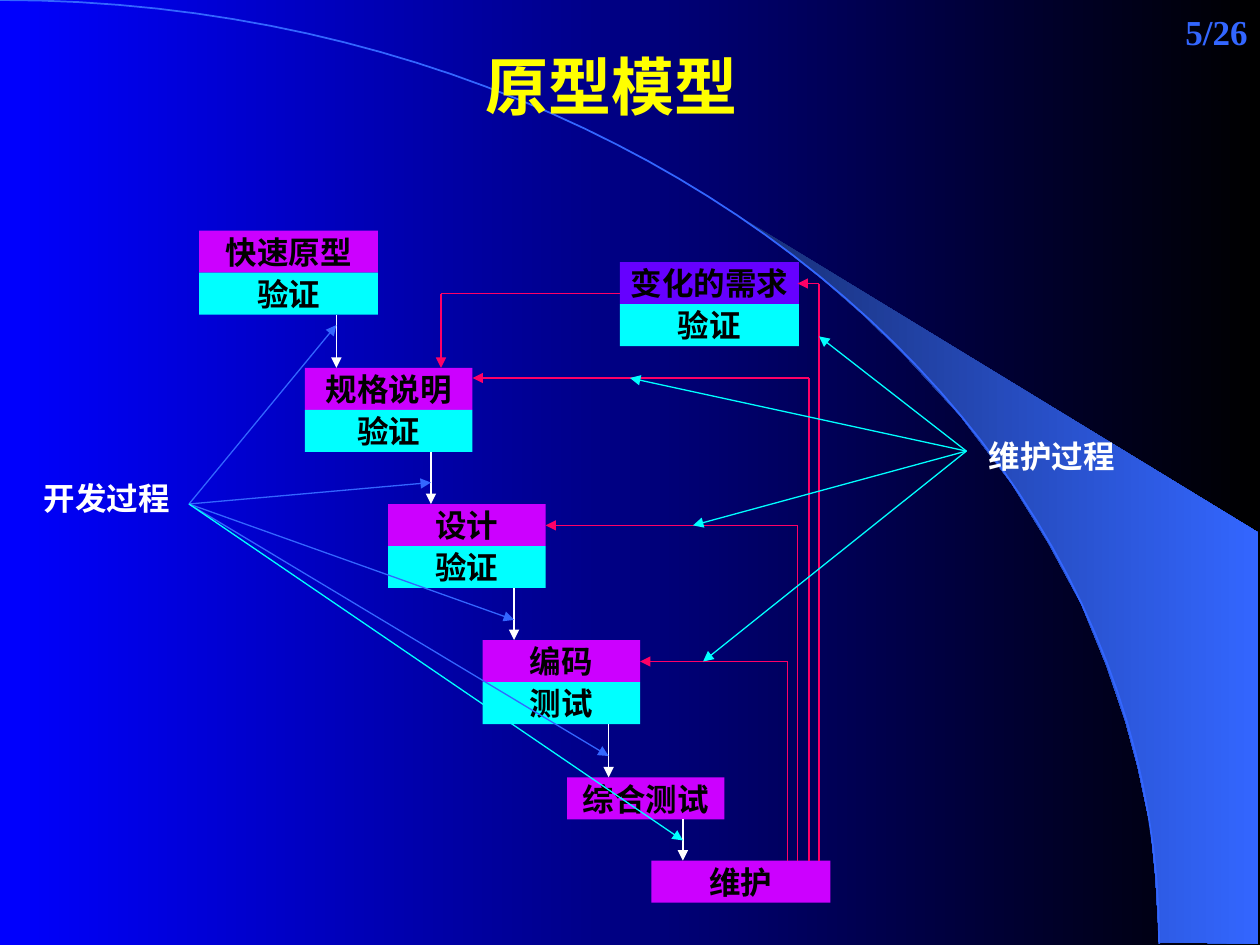
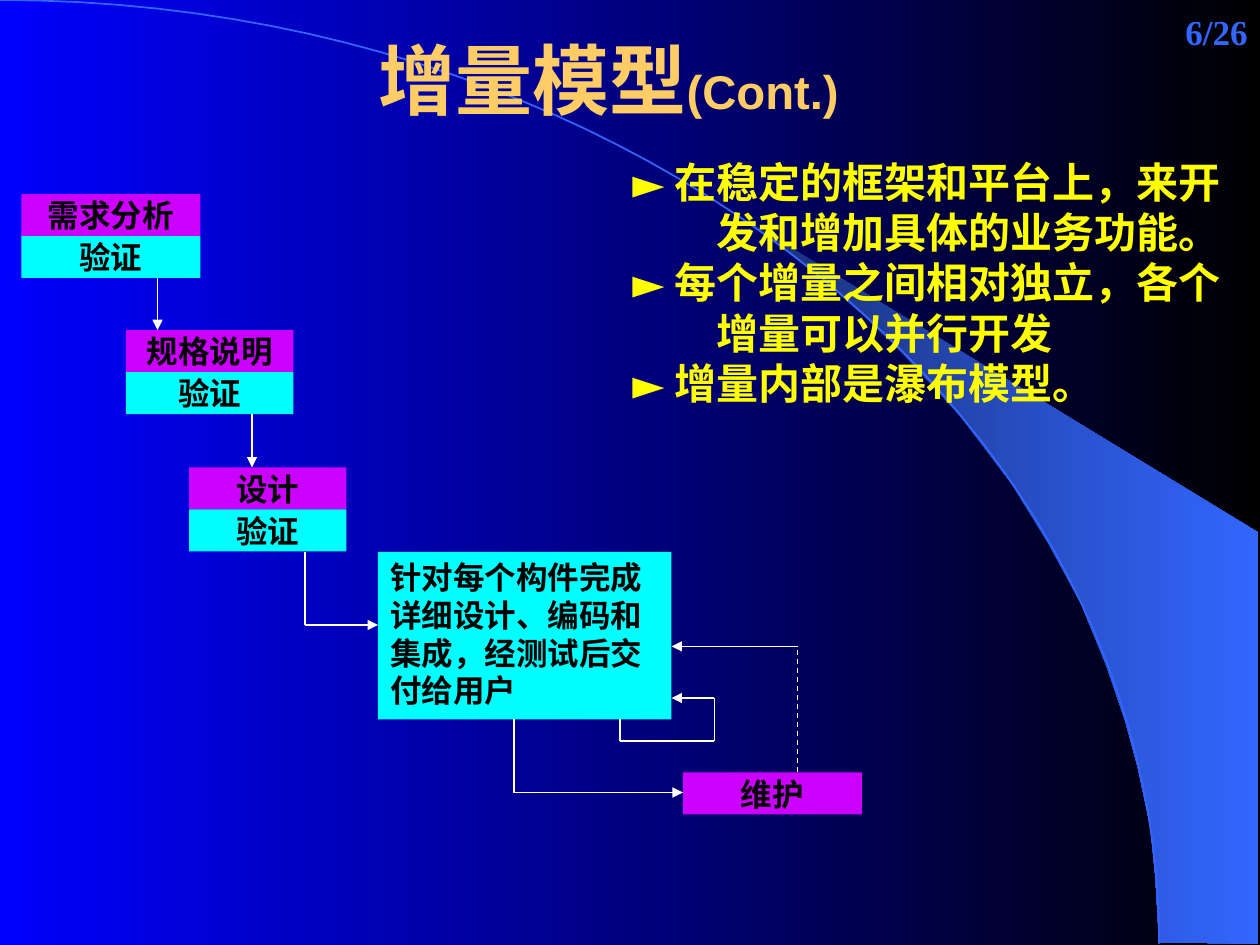
from dataclasses import dataclass

from lxml import etree
from pptx import Presentation
from pptx.dml.color import RGBColor
from pptx.enum.dml import MSO_LINE
from pptx.enum.shapes import MSO_CONNECTOR, MSO_SHAPE
from pptx.enum.text import MSO_ANCHOR, PP_ALIGN
from pptx.oxml.ns import qn
from pptx.util import Inches, Pt

LEFT, CENTER, RIGHT = PP_ALIGN.LEFT, PP_ALIGN.CENTER, PP_ALIGN.RIGHT
TOP, MIDDLE = MSO_ANCHOR.TOP, MSO_ANCHOR.MIDDLE
STRAIGHT, RECT, DASH = MSO_CONNECTOR.STRAIGHT, MSO_SHAPE.RECTANGLE, MSO_LINE.DASH

BLUE, BLACK, WHITE = "0000FF", "000000", "FFFFFF"
NAVY, SKY, CYAN = "182F76", "3366FF", "00FFFF"
MAGENTA, VIOLET, RED = "CC00FF", "6600FF", "FF0066"
YELLOW, GOLD = "FFFF00", "FFCC66"
SANS, SERIF = "Arial", "Times New Roman"
ROW = 1 / 3
PAGES = 26

WEDGE = [
    (9.2, 7.48), (9.99, 7.49), (9.99, 4.23), (5.89, 1.73), (6.24, 1.99), (6.53, 2.22),
    (6.85, 2.5), (7.16, 2.8), (7.62, 3.3), (8.03, 3.84), (8.32, 4.31), (8.58, 4.79),
    (8.78, 5.28), (8.93, 5.72), (9.03, 6.09), (9.13, 6.56), (9.17, 6.96),
]
ARC = [(0, 0), (5.08, 0), (9.2, 3.35), (9.2, 7.49)]
ARC_STEPS = 48

Point = tuple[float, float]


@dataclass
class Run:
    text: str
    size: float = 18
    color: str = BLACK
    font: str = SANS


@dataclass
class Stage:
    left: float
    top: float
    width: float
    name: str
    check: str = ""
    fill: str = MAGENTA
    drop: float = 0

    @property
    def bottom(self) -> float:
        return self.top + ROW * (2 if self.check else 1)


@dataclass
class Route:
    points: list[Point]
    color: str = WHITE
    arrow: bool = True
    dashed: bool = False


def rgb(color: str) -> RGBColor:
    return RGBColor.from_string(color)


def set_gradient(fill, start: str, end: str) -> None:
    fill.gradient()
    fill.gradient_angle = 0
    for stop, color, position in zip(fill.gradient_stops, (start, end), (0, 1)):
        stop.color.rgb = rgb(color)
        stop.position = position


def write(p, runs: list[Run], align=LEFT) -> None:
    p.alignment = align
    for run in runs:
        r = p.add_run()
        r.text = run.text
        r.font.size = Pt(run.size)
        r.font.name = run.font
        r.font.bold = True
        r.font.color.rgb = rgb(run.color)


def add_text(s, left: float, top: float, width: float, height: float,
             paragraphs: list[list[Run]], align=LEFT, anchor=TOP, hanging: float = 0) -> None:
    tf = s.shapes.add_textbox(Inches(left), Inches(top), Inches(width), Inches(height)).text_frame
    tf.word_wrap = True
    tf.vertical_anchor = anchor
    for i, runs in enumerate(paragraphs):
        p = tf.add_paragraph() if i else tf.paragraphs[0]
        write(p, runs, align)
        if hanging:
            pPr = p._p.get_or_add_pPr()
            pPr.set("marL", str(Inches(hanging)))
            pPr.set("indent", str(-Inches(hanging)))


def add_box(s, left: float, top: float, width: float, height: float, text: str, fill: str,
            align=CENTER, anchor=MIDDLE, wrap: bool = False) -> None:
    sp = s.shapes.add_shape(RECT, Inches(left), Inches(top), Inches(width), Inches(height))
    sp.shadow.inherit = False
    sp.fill.solid()
    sp.fill.fore_color.rgb = rgb(fill)
    sp.line.fill.background()
    tf = sp.text_frame
    tf.word_wrap = wrap
    tf.vertical_anchor = anchor
    write(tf.paragraphs[0], [Run(text)], align)


def add_outline(s, points: list[Point], close: bool):
    (x, y), *rest = [(Inches(px), Inches(py)) for px, py in points]
    builder = s.shapes.build_freeform(x, y, scale=1.0)
    builder.add_line_segments(rest, close=close)
    sp = builder.convert_to_shape()
    sp.shadow.inherit = False
    return sp


def add_line(s, start: Point, end: Point, color: str, arrow: bool, dashed: bool) -> None:
    cxn = s.shapes.add_connector(STRAIGHT, *[Inches(v) for v in (*start, *end)])
    cxn.line.color.rgb = rgb(color)
    cxn.line.width = Pt(0.75)
    if dashed:
        cxn.line.dash_style = DASH
    spPr = cxn.element.spPr
    if arrow:
        etree.SubElement(spPr.find(qn("a:ln")), qn("a:tailEnd"), type="triangle")
    etree.SubElement(spPr, qn("a:effectLst"))


def add_route(s, route: Route) -> None:
    last = len(route.points) - 2
    for i, (start, end) in enumerate(zip(route.points, route.points[1:])):
        add_line(s, start, end, route.color, route.arrow and i == last, route.dashed)


def add_stages(s, stages: list[Stage]) -> None:
    for stage in stages:
        add_box(s, stage.left, stage.top, stage.width, ROW, stage.name, stage.fill)
        if stage.check:
            add_box(s, stage.left, stage.top + ROW, stage.width, ROW, stage.check, CYAN)
    for stage, following in zip(stages, stages[1:]):
        if stage.drop:
            add_route(s, Route([(stage.drop, stage.bottom), (stage.drop, following.top)]))


def bezier(t: float) -> Point:
    weights = ((1 - t) ** 3, 3 * t * (1 - t) ** 2, 3 * t * t * (1 - t), t ** 3)
    return (sum(w * x for w, (x, _) in zip(weights, ARC)),
            sum(w * y for w, (_, y) in zip(weights, ARC)))


def add_slide(prs, number: int):
    s = prs.slides.add_slide(prs.slide_layouts[6])
    set_gradient(s.background.fill, BLUE, BLACK)
    wedge = add_outline(s, WEDGE, True)
    set_gradient(wedge.fill, NAVY, SKY)
    wedge.line.fill.background()
    arc = add_outline(s, [bezier(i / ARC_STEPS) for i in range(ARC_STEPS + 1)], False)
    arc.fill.background()
    arc.line.color.rgb = rgb(SKY)
    arc.line.width = Pt(1)
    add_text(s, 7.92, 0, 2.08, 0.5, [[Run(f"{number}/{PAGES}", 20, SKY, SERIF)]], RIGHT, MIDDLE)
    return s


def build_prototype(prs) -> None:
    s = add_slide(prs, 5)
    add_stages(s, [
        Stage(1.58, 1.83, 1.42, "快速原型", "验证", drop=2.67),
        Stage(2.42, 2.92, 1.33, "规格说明", "验证", drop=3.42),
        Stage(3.08, 4, 1.25, "设计", "验证", drop=4.08),
        Stage(3.83, 5.08, 1.25, "编码", "测试", drop=4.83),
        Stage(4.5, 6.17, 1.25, "综合测试", drop=5.42),
        Stage(5.17, 6.83, 1.42, "维护"),
        Stage(4.92, 2.08, 1.42, "变化的需求", "验证", VIOLET),
    ])
    add_route(s, Route([(4.92, 2.33), (3.5, 2.33), (3.5, 2.92)], RED))
    for x, y, end in [(6.5, 2.25, 6.33), (6.42, 3, 3.75), (6.33, 4.17, 4.33), (6.25, 5.25, 5.08)]:
        add_route(s, Route([(x, 6.83), (x, y), (end, y)], RED))
    add_text(s, 7.75, 3.42, 1.25, 0.4, [[Run("维护过程", color=WHITE)]])
    for target in [(6.5, 2.67), (5, 3), (5.5, 4.17), (5.58, 5.25)]:
        add_route(s, Route([(7.67, 3.58), target], CYAN))
    add_text(s, 0.25, 3.75, 1.25, 0.4, [[Run("开发过程", color=WHITE)]])
    for target in [(2.67, 2.58), (3.42, 3.83), (4.08, 4.92), (4.83, 6)]:
        add_route(s, Route([(1.5, 4), target], SKY))
    add_route(s, Route([(1.5, 4), (5.42, 6.67)], CYAN))
    add_text(s, 0.48, 0.33, 8.75, 0.7, [[Run("原型模型", 36, YELLOW, SERIF)]], CENTER)


def build_incremental(prs) -> None:
    s = add_slide(prs, 6)
    add_text(s, 0.83, 0, 8, 1.25, [[Run("增量模型", 44, GOLD), Run("(Cont.)", 27, GOLD)]],
             CENTER, MIDDLE)
    add_stages(s, [
        Stage(0.17, 1.54, 1.42, "需求分析", "验证", drop=1.25),
        Stage(1, 2.62, 1.33, "规格说明", "验证", drop=2),
        Stage(1.5, 3.71, 1.25, "设计", "验证"),
        Stage(5.42, 6.13, 1.42, "维护"),
    ])
    add_box(s, 3, 4.38, 2.33, 1.33, "针对每个构件完成详细设计、编码和集成，经测试后交付给用户",
            CYAN, LEFT, TOP, True)
    for route in [
        Route([(2.42, 4.38), (2.42, 4.96), (3, 4.96)]),
        Route([(4.08, 5.71), (4.08, 6.29), (5.42, 6.29)]),
        Route([(4.92, 5.71), (4.92, 5.88), (5.67, 5.88), (5.67, 5.54), (5.33, 5.54)]),
        Route([(6.33, 6.13), (6.33, 5.13)], arrow=False, dashed=True),
        Route([(6.33, 5.13), (5.33, 5.13)]),
    ]:
        add_route(s, route)
    points = [
        "在稳定的框架和平台上，来开发和增加具体的业务功能。",
        "每个增量之间相对独立，各个增量可以并行开发",
        "增量内部是瀑布模型。",
    ]
    add_text(s, 4.92, 1.19, 5, 2.1,
             [[Run("► ", 24, YELLOW, SERIF), Run(text, 24, YELLOW)] for text in points],
             hanging=0.67)


def main() -> None:
    prs = Presentation()
    prs.slide_width, prs.slide_height = Inches(10), Inches(7.5)
    build_prototype(prs)
    build_incremental(prs)
    prs.save("out.pptx")


main()
